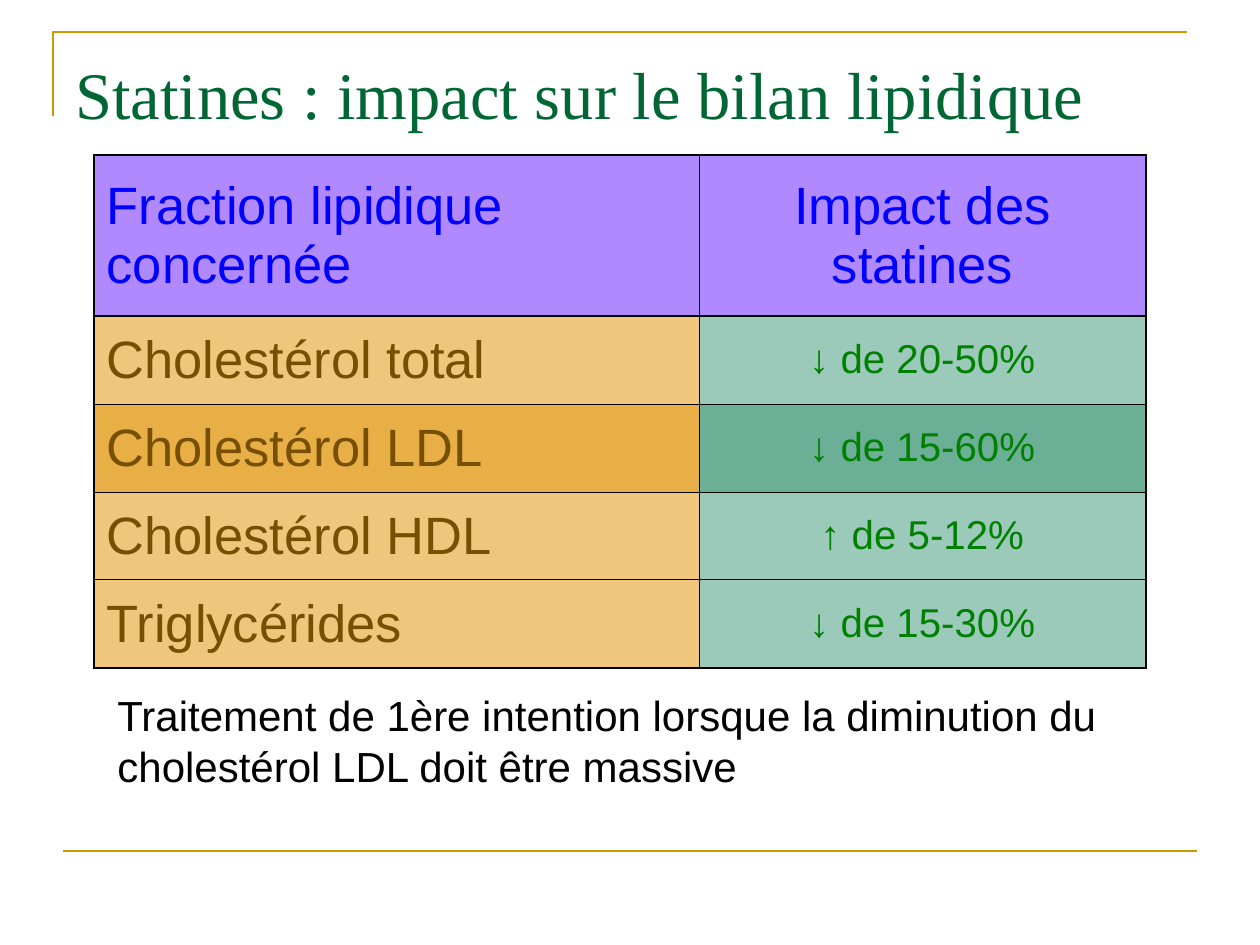
import pptx
import pptx.util
import pptx.dml.color
import pptx.enum.shapes
import pptx.enum.text
import pptx.oxml.ns
import lxml.etree

PX = 914400 // 126
GOLD = "CC9900"
THICK, THIN = 1.08, 0.45


def rgb(code):
    return pptx.dml.color.RGBColor.from_string(code)


def style(para, font, size, color):
    for span in para.runs:
        span.font.name = font
        span.font.size = pptx.util.Pt(size)
        span.font.color.rgb = rgb(color)


deck = pptx.Presentation()
deck.slide_width = pptx.util.Inches(10)
deck.slide_height = pptx.util.Inches(7.5)
page = deck.slides.add_slide(deck.slide_layouts[6])

# Frame lines
builder = page.shapes.build_freeform(53, 116, scale=PX)
builder.add_line_segments([(53, 32), (1187, 32)], close=False)
corner = builder.convert_to_shape()
corner.shadow.inherit = False
corner.fill.background()
rule = page.shapes.add_connector(
    pptx.enum.shapes.MSO_CONNECTOR.STRAIGHT, 63 * PX, 851 * PX, 1197 * PX, 851 * PX)
lxml.etree.SubElement(rule._element.spPr, pptx.oxml.ns.qn("a:effectLst"))
for outline in (corner.line, rule.line):
    outline.color.rgb = rgb(GOLD)
    outline.width = pptx.util.Pt(1.5)

# Title and closing remark
texts = [
    ("Statines : impact sur le bilan lipidique",
     (63, 38, 1134, 158), 15, "Times New Roman", 38, "006633"),
    ("Traitement de 1ère intention lorsque la diminution du cholestérol LDL doit être massive",
     (105, 680, 1042, 113), 10, "Arial", 24, "000000"),
]
for text, place, inset, font, size, color in texts:
    box = page.shapes.add_textbox(*(length * PX for length in place))
    frame = box.text_frame
    frame.word_wrap = True
    frame.margin_top = inset * PX
    frame.text = text
    style(frame.paragraphs[0], font, size, color)

# Table of lipid fractions
rows = [
    ("Fraction lipidique concernée", "Impact des statines"),
    ("Cholestérol total", "↓ de 20-50%"),
    ("Cholestérol LDL", "↓ de 15-60%"),
    ("Cholestérol HDL", "↑ de 5-12%"),
    ("Triglycérides", "↓ de 15-30%"),
]
widths = [605, 447]
heights = [161, 88, 88, 88, 88]
table = page.shapes.add_table(
    len(rows), 2, 94 * PX, 155 * PX, sum(widths) * PX, sum(heights) * PX).table
for column, width in zip(table.columns, widths):
    column.width = width * PX
for row, height in zip(table.rows, heights):
    row.height = height * PX

for i, row in enumerate(rows):
    for j, text in enumerate(row):
        if i == 0:
            fill, size, color = "B089FF", 30, "0000FF"
        elif j == 0:
            fill, size, color = "E9AF47" if i == 2 else "EFC67B", 30, "764F00"
        else:
            fill, size, color = "6BAF97" if i == 2 else "9CCABA", 23, "008000"
        cell = table.cell(i, j)
        cell.text = text
        cell.vertical_anchor = pptx.enum.text.MSO_ANCHOR.MIDDLE
        para = cell.text_frame.paragraphs[0]
        if j == 1:
            para.alignment = pptx.enum.text.PP_ALIGN.CENTER
        style(para, "Arial", size, color)

        # Borders come before the fill in the cell properties
        properties = cell._tc.get_or_add_tcPr()
        heavy = {"lnL": j == 0, "lnR": j == 1, "lnT": i < 2, "lnB": i in (0, len(rows) - 1)}
        for side, is_heavy in heavy.items():
            border = lxml.etree.SubElement(properties, pptx.oxml.ns.qn("a:" + side))
            border.set("w", str(pptx.util.Pt(THICK if is_heavy else THIN)))
            solid = lxml.etree.SubElement(border, pptx.oxml.ns.qn("a:solidFill"))
            lxml.etree.SubElement(solid, pptx.oxml.ns.qn("a:srgbClr")).set("val", "000000")
        cell.fill.solid()
        cell.fill.fore_color.rgb = rgb(fill)

deck.save("out.pptx")
